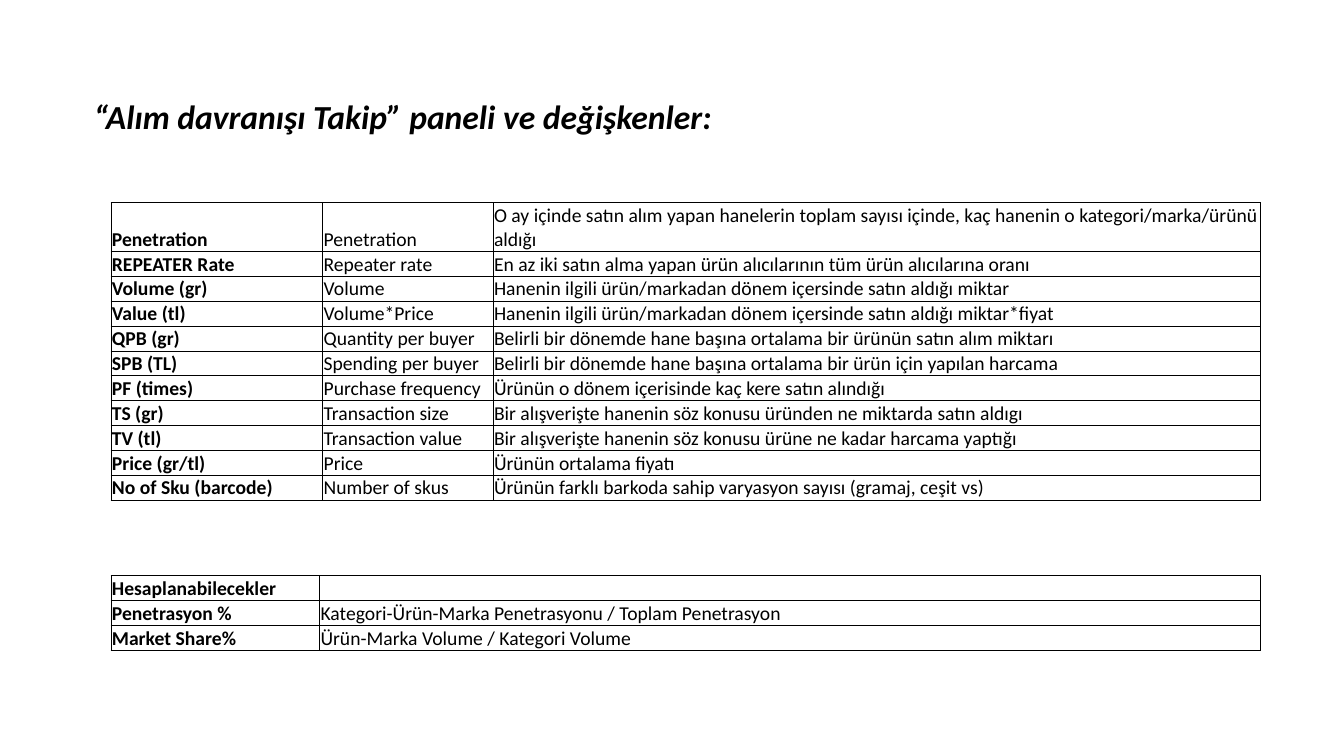
from dataclasses import dataclass

from lxml.etree import SubElement
from pptx import Presentation
from pptx.dml.color import RGBColor
from pptx.enum.text import MSO_ANCHOR, PP_ALIGN
from pptx.oxml.ns import qn
from pptx.util import Inches, Pt


@dataclass(frozen=True)
class Theme:
    face: str = "Calibri"
    ink: str = "000000"
    head: int = 24
    body: int = 14
    rule: float = 0.5


class Deck:
    def __init__(self, theme):
        self.theme = theme
        self.show = Presentation()
        self.show.slide_width = Inches(13.33)
        self.show.slide_height = Inches(7.5)
        self.slide = self.show.slides.add_slide(self.show.slide_layouts[5])

    def style(self, font, size, **extra):
        look = {"name": self.theme.face, "size": Pt(size), **extra}
        for key, value in look.items():
            setattr(font, key, value)
        font.color.rgb = RGBColor.from_string(self.theme.ink)

    def title(self, text, left, top, width, height):
        shape = self.slide.shapes.title
        place = {"left": left, "top": top, "width": width, "height": height}
        for key, value in place.items():
            setattr(shape, key, Inches(value))
        frame = shape.text_frame
        frame.word_wrap = True
        frame.vertical_anchor = MSO_ANCHOR.TOP
        para = frame.paragraphs[0]
        para.alignment = PP_ALIGN.LEFT
        run = para.add_run()
        run.text = text
        self.style(run.font, self.theme.head, bold=True, italic=True)

    def border(self, cell):
        props = cell._tc.get_or_add_tcPr()
        for side in ("lnL", "lnR", "lnT", "lnB"):
            line = SubElement(props, qn(f"a:{side}"), w=str(Pt(self.theme.rule)))
            fill = SubElement(line, qn("a:solidFill"))
            SubElement(fill, qn("a:srgbClr"), val=self.theme.ink)

    def cell(self, cell, text, bold):
        form = {
            "margin_left": Inches(0.01),
            "margin_right": Inches(0.01),
            "margin_top": Inches(0.01),
            "margin_bottom": 0,
            "vertical_anchor": MSO_ANCHOR.BOTTOM,
        }
        for key, value in form.items():
            setattr(cell, key, value)
        self.border(cell)
        cell.fill.background()
        para = cell.text_frame.paragraphs[0]
        if text:
            run = para.add_run()
            run.text = text
            self.style(run.font, self.theme.body, bold=bold)
        else:
            size = str(self.theme.body * 100)
            SubElement(para._p, qn("a:endParaRPr"), sz=size)

    def table(self, rows, left, top, widths, heights):
        frame = self.slide.shapes.add_table(
            len(rows), len(widths), Inches(left), Inches(top),
            Inches(sum(widths)), Inches(sum(heights)))
        grid = frame.table
        grid.first_row = False
        grid.horz_banding = False
        for col, width in zip(grid.columns, widths):
            col.width = Inches(width)
        for row, height, texts in zip(grid.rows, heights, rows):
            row.height = Inches(height)
            for index, (cell, text) in enumerate(zip(row.cells, texts)):
                self.cell(cell, text, index == 0)


TERMS = [
    ("Penetration", "Penetration",
     "O ay içinde satın alım yapan hanelerin toplam sayısı içinde, "
     "kaç hanenin o kategori/marka/ürünü aldığı"),
    ("REPEATER Rate", "Repeater rate",
     "En az iki satın alma yapan ürün alıcılarının tüm ürün alıcılarına oranı"),
    ("Volume (gr)", "Volume",
     "Hanenin ilgili ürün/markadan dönem içersinde satın aldığı miktar"),
    ("Value (tl)", "Volume*Price",
     "Hanenin ilgili ürün/markadan dönem içersinde satın aldığı miktar*fiyat"),
    ("QPB (gr)", "Quantity per buyer",
     "Belirli bir dönemde hane başına ortalama bir ürünün satın alım miktarı"),
    ("SPB (TL)", "Spending per buyer",
     "Belirli bir dönemde hane başına ortalama bir ürün için yapılan harcama"),
    ("PF (times)", "Purchase frequency",
     "Ürünün o dönem içerisinde kaç kere satın alındığı"),
    ("TS (gr)", "Transaction size",
     "Bir alışverişte hanenin söz konusu üründen ne miktarda satın aldıgı"),
    ("TV (tl)", "Transaction value",
     "Bir alışverişte hanenin söz konusu ürüne ne kadar harcama yaptığı"),
    ("Price (gr/tl)", "Price", "Ürünün ortalama fiyatı"),
    ("No of Sku (barcode)", "Number of skus",
     "Ürünün farklı barkoda sahip varyasyon sayısı (gramaj, ceşit vs)"),
]

RATIOS = [
    ("Hesaplanabilecekler", ""),
    ("Penetrasyon %", "Kategori-Ürün-Marka Penetrasyonu / Toplam Penetrasyon"),
    ("Market Share%", "Ürün-Marka Volume / Kategori Volume"),
]


def main():
    left, step = 1.1, 0.24
    deck = Deck(Theme())
    deck.title("“Alım davranışı Takip” paneli ve değişkenler:", 0.83, 0.9, 11.67, 1.11)
    deck.table(TERMS, left, 2.01, [2.1, 1.69, 7.61],
               [2 * step] + [step] * (len(TERMS) - 1))
    deck.table(RATIOS, left, 5.71, [2.07, 9.33], [step] * len(RATIOS))
    deck.show.save("out.pptx")


if __name__ == "__main__":
    main()
